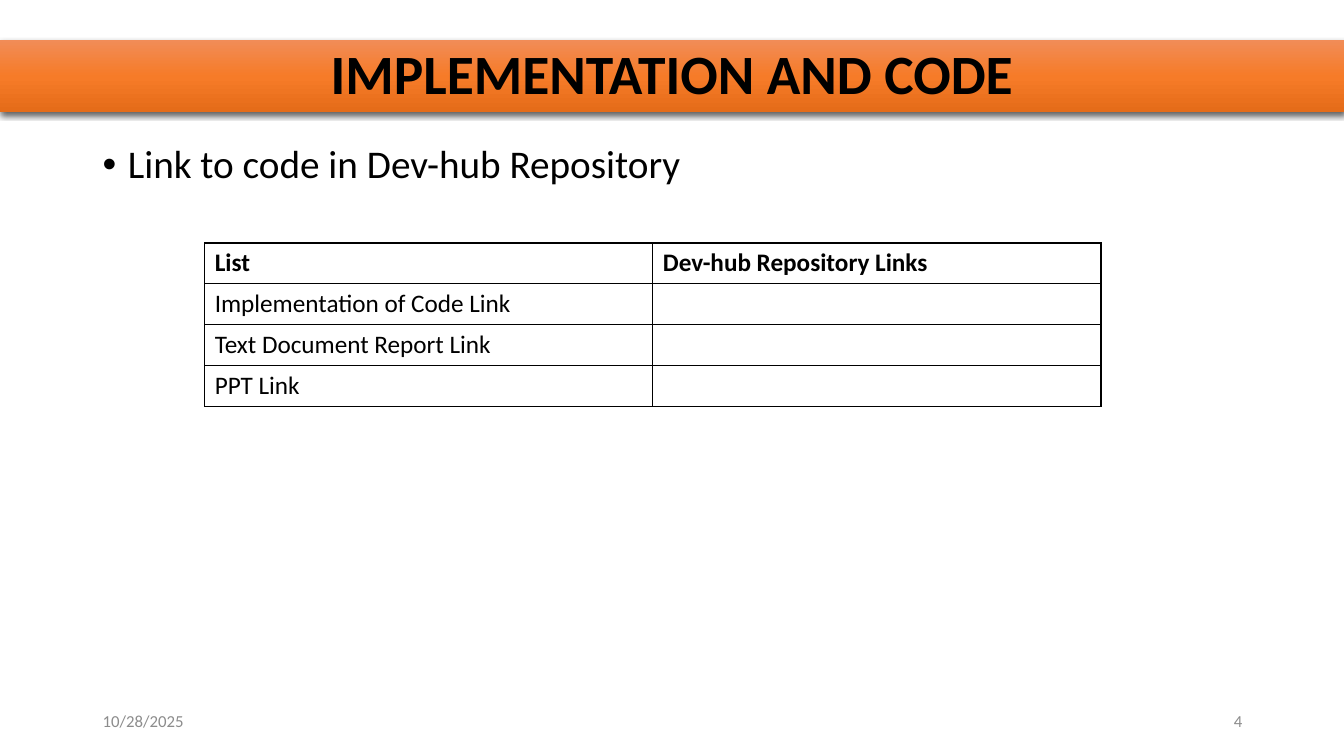
from dataclasses import dataclass

from lxml import etree
from pptx import Presentation
from pptx import util as u
from pptx.dml.color import RGBColor
from pptx.enum import shapes, text
from pptx.oxml import ns


@dataclass(frozen=True)
class Theme:
    font: str = "Calibri"
    ink: str = "000000"
    muted: str = "8C8C8C"
    banner: tuple = ((0, "F18C57"), (50, "F67B28"), (100, "E56C19"))
    title_size: float = 39.6
    body_size: float = 28
    table_size: float = 18
    footer_size: float = 12
    border: float = 1


def add_node(parent, tag, **attributes):
    return etree.SubElement(parent, ns.qn(tag), attributes)


class SlideBuilder:
    def __init__(self, page, theme):
        self.page = page
        self.theme = theme

    def set_text(self, frame, wording, size, color=None, bold=False,
                 align=text.PP_ALIGN.LEFT):
        frame.word_wrap = True
        para = frame.paragraphs[0]
        para.text = wording
        para.alignment = align
        font = para.runs[0].font
        font.name, font.size, font.bold = self.theme.font, u.Pt(size), bold
        font.color.rgb = RGBColor.from_string(color or self.theme.ink)
        return para

    def banner(self, wording, *place):
        bar = self.page.shapes.add_shape(
            shapes.MSO_SHAPE.RECTANGLE, *map(u.Inches, place))
        bar.line.fill.background()
        bar.shadow.inherit = False

        # Three-stop gradient running downwards
        bar.fill.gradient()
        bar.fill.gradient_angle = 270
        properties = bar.element.spPr
        stops = properties.find(".//" + ns.qn("a:gsLst"))
        stops.clear()
        for percent, color in self.theme.banner:
            stop = add_node(stops, "a:gs", pos=str(percent * 1000))
            add_node(stop, "a:srgbClr", val=color)

        # Soft shadow below the bar
        shadow = add_node(
            properties.find(ns.qn("a:effectLst")), "a:outerShdw",
            blurRad=str(u.Pt(4.5)), dist=str(u.Pt(1.5)), dir="5400000",
            algn="ctr", rotWithShape="0")
        tint = add_node(shadow, "a:srgbClr", val=self.theme.ink)
        add_node(tint, "a:alpha", val="63000")

        frame = bar.text_frame
        frame.vertical_anchor = text.MSO_ANCHOR.MIDDLE
        para = self.set_text(frame, wording, self.theme.title_size, bold=True,
                             align=text.PP_ALIGN.CENTER)
        para.line_spacing = 0.9

    def bullet(self, wording, *place):
        box = self.page.shapes.add_textbox(*map(u.Inches, place))
        para = self.set_text(box.text_frame, wording, self.theme.body_size)
        para.line_spacing = 0.9
        para.space_before = u.Pt(10)
        properties = para._p.get_or_add_pPr()
        indent = u.Inches(0.25)
        properties.set("marL", str(indent))
        properties.set("indent", str(-indent))
        add_node(properties, "a:buFont", typeface="Arial")
        add_node(properties, "a:buChar", char="•")

    def footer(self, wording, left, align):
        box = self.page.shapes.add_textbox(
            *map(u.Inches, (left, 6.95, 3, 0.4)))
        box.text_frame.vertical_anchor = text.MSO_ANCHOR.MIDDLE
        self.set_text(box.text_frame, wording, self.theme.footer_size,
                      self.theme.muted, align=align)

    def table(self, rows, *place):
        table = self.page.shapes.add_table(
            len(rows), len(rows[0]), *map(u.Inches, place)).table
        table.first_row = table.horz_banding = False
        for row_index, row in enumerate(rows):
            for column_index, wording in enumerate(row):
                cell = table.cell(row_index, column_index)
                self.outline(cell)
                cell.fill.background()
                if wording:
                    self.set_text(cell.text_frame, wording,
                                  self.theme.table_size, bold=row_index == 0)

    def outline(self, cell):
        properties = cell._tc.get_or_add_tcPr()
        for side in ("a:lnL", "a:lnR", "a:lnT", "a:lnB"):
            line = add_node(properties, side, w=str(u.Pt(self.theme.border)))
            add_node(add_node(line, "a:solidFill"), "a:srgbClr",
                     val=self.theme.ink)


def main():
    deck = Presentation()
    deck.slide_width, deck.slide_height = u.Inches(13.33), u.Inches(7.5)
    page = deck.slides.add_slide(deck.slide_layouts[6])
    builder = SlideBuilder(page, Theme())

    # Title and lead-in
    builder.banner("IMPLEMENTATION AND CODE", 0, 0.4, 13.33, 0.71)
    builder.bullet("Link to code in Dev-hub Repository", 0.92, 1.39, 11.5, 5.37)

    # Date and slide number
    builder.footer("10/28/2025", 0.92, text.PP_ALIGN.LEFT)
    builder.footer("4", 9.42, text.PP_ALIGN.RIGHT)

    # Repository links
    builder.table([
        ("List", "Dev-hub Repository Links"),
        ("Implementation of Code Link", ""),
        ("Text Document Report Link", ""),
        ("PPT Link", ""),
    ], 2.03, 2.41, 8.89, 1.62)

    deck.save("out.pptx")


if __name__ == "__main__":
    main()
